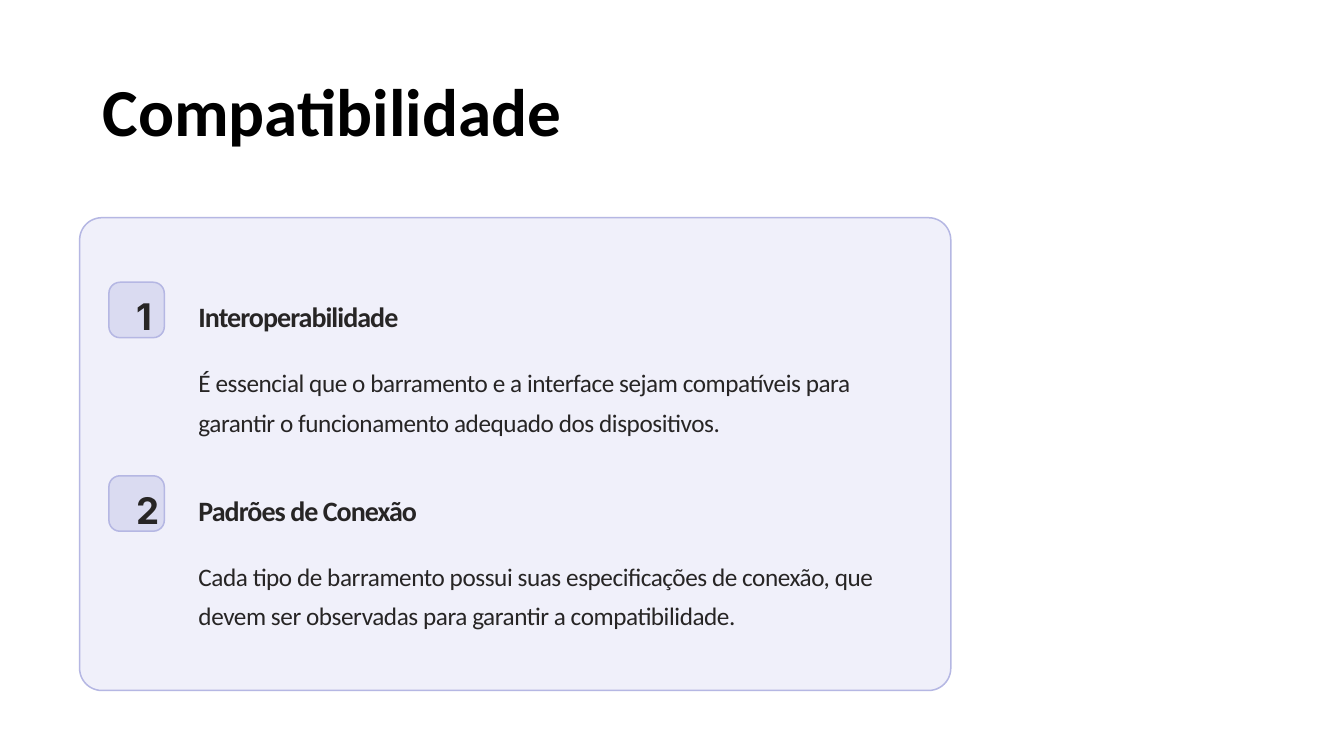
import pptx
import pptx.util
import pptx.dml.color
import pptx.enum.shapes
import pptx.enum.text

Inches, Pt = pptx.util.Inches, pptx.util.Pt
RGBColor = pptx.dml.color.RGBColor
ALIGN = pptx.enum.text.PP_ALIGN
ANCHOR = pptx.enum.text.MSO_ANCHOR

# Content
TITLE = "Compatibilidade"
ITEMS = [
    ("Interoperabilidade",
     "É essencial que o barramento e a interface sejam compatíveis para "
     "garantir o funcionamento adequado dos dispositivos."),
    ("Padrões de Conexão",
     "Cada tipo de barramento possui suas especificações de conexão, que "
     "devem ser observadas para garantir a compatibilidade."),
]

# Colours
BLACK = RGBColor(0x00, 0x00, 0x00)
INK = RGBColor(0x27, 0x25, 0x25)
PANEL = RGBColor(0xF0, 0xF0, 0xFA)
BADGE = RGBColor(0xDA, 0xDB, 0xF1)
BORDER = RGBColor(0xB5, 0xB7, 0xE3)

# Layout in inches
FIRST_TOP, ITEM_STEP = 2.8, 1.92
BADGE_LEFT, BADGE_SIZE = 1.08, 0.55
NUMBER_WIDTH = 0.2
TEXT_LEFT = 1.87


def add_card(s, left, top, width, height, radius, fill):
    sp = s.shapes.add_shape(
        pptx.enum.shapes.MSO_SHAPE.ROUNDED_RECTANGLE,
        Inches(left), Inches(top), Inches(width), Inches(height))
    sp.adjustments[0] = radius
    sp.shadow.inherit = False
    sp.fill.solid()
    sp.fill.fore_color.rgb = fill
    sp.line.color.rgb = BORDER
    sp.line.width = Pt(1.09)


def add_text(s, text, left, top, width, height, size, leading, color=INK,
             font="Calibri", bold=True, spacing=0, align=ALIGN.LEFT,
             anchor=ANCHOR.TOP, wrap=True):
    sp = s.shapes.add_textbox(
        Inches(left), Inches(top), Inches(width), Inches(height))
    tf = sp.text_frame
    tf.text = text
    tf.word_wrap = wrap
    tf.vertical_anchor = anchor
    p = tf.paragraphs[0]
    p.alignment = align
    p.line_spacing = Pt(leading)
    r = p.runs[0]
    r.font.name = font
    r.font.size = Pt(size)
    r.font.bold = bold
    r.font.color.rgb = color
    if spacing:
        # Letter spacing in hundredths of a point
        r.font._element.set("spc", str(round(spacing * 100)))


def main():
    prs = pptx.Presentation()
    prs.slide_width, prs.slide_height = Inches(13.33), Inches(7.5)
    s = prs.slides.add_slide(prs.slide_layouts[6])

    # Panel and title
    add_card(s, 0.79, 2.16, 8.64, 4.69, 0.047, PANEL)
    add_text(s, TITLE, 0.92, 0.4, 11.5, 1.45, 48, 51.9, color=BLACK,
             anchor=ANCHOR.MIDDLE)

    # Numbered items
    for i, (heading, body) in enumerate(ITEMS):
        top = FIRST_TOP + i * ITEM_STEP
        add_card(s, BADGE_LEFT, top, BADGE_SIZE, BADGE_SIZE, 0.2, BADGE)
        number_left = BADGE_LEFT + (BADGE_SIZE - NUMBER_WIDTH) / 2
        add_text(s, str(i + 1), number_left, top + 0.05, NUMBER_WIDTH, 0.46,
                 26.2, 32.8, font="Inter", spacing=-0.3,
                 align=ALIGN.CENTER, wrap=False)
        add_text(s, heading, TEXT_LEFT, top + 0.08, 2.85, 0.38, 20, 27.3,
                 spacing=-0.7)
        add_text(s, body, TEXT_LEFT, top + 0.71, 7.39, 0.78, 18, 28,
                 bold=False, spacing=-0.3)

    prs.save("out.pptx")


if __name__ == "__main__":
    main()
